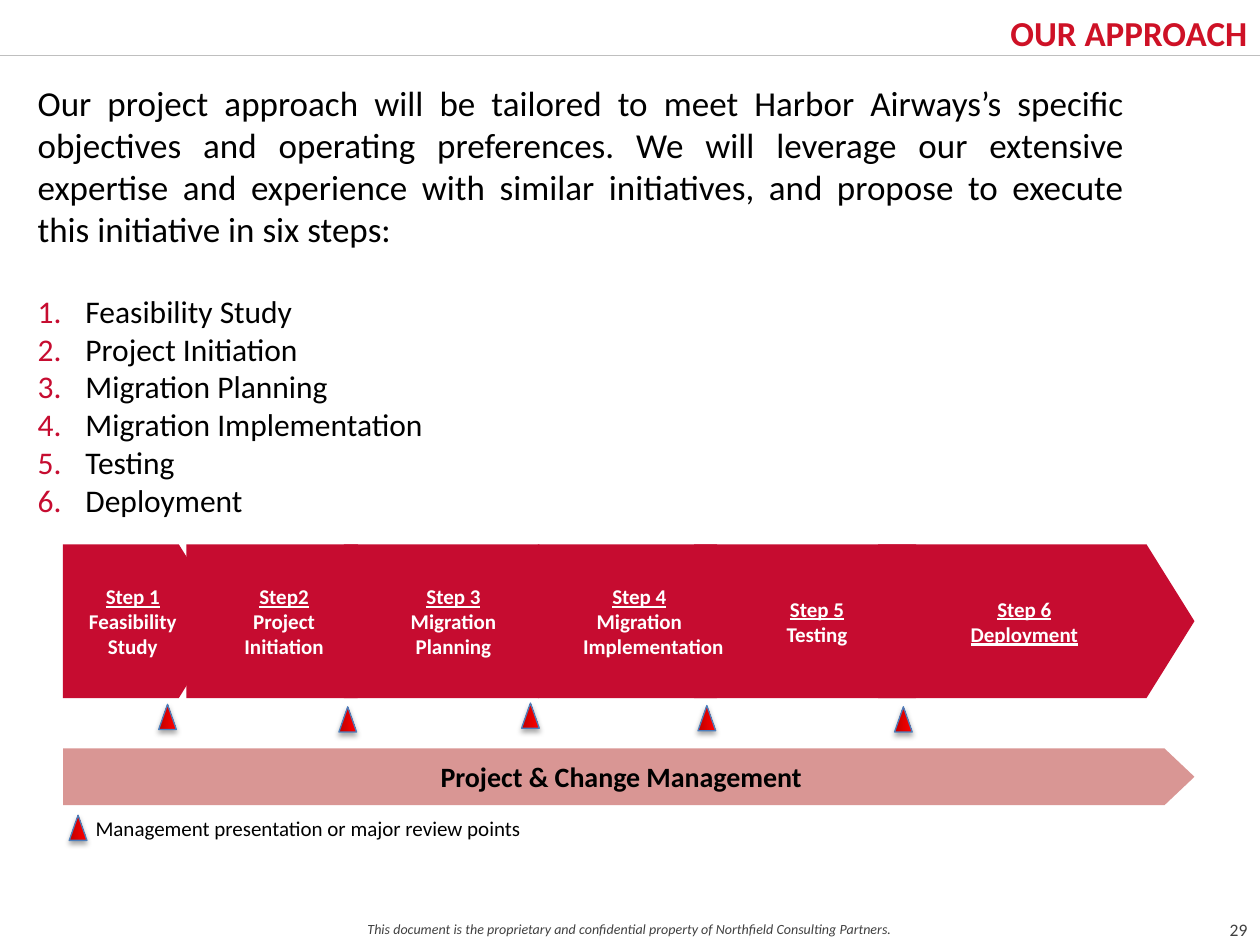
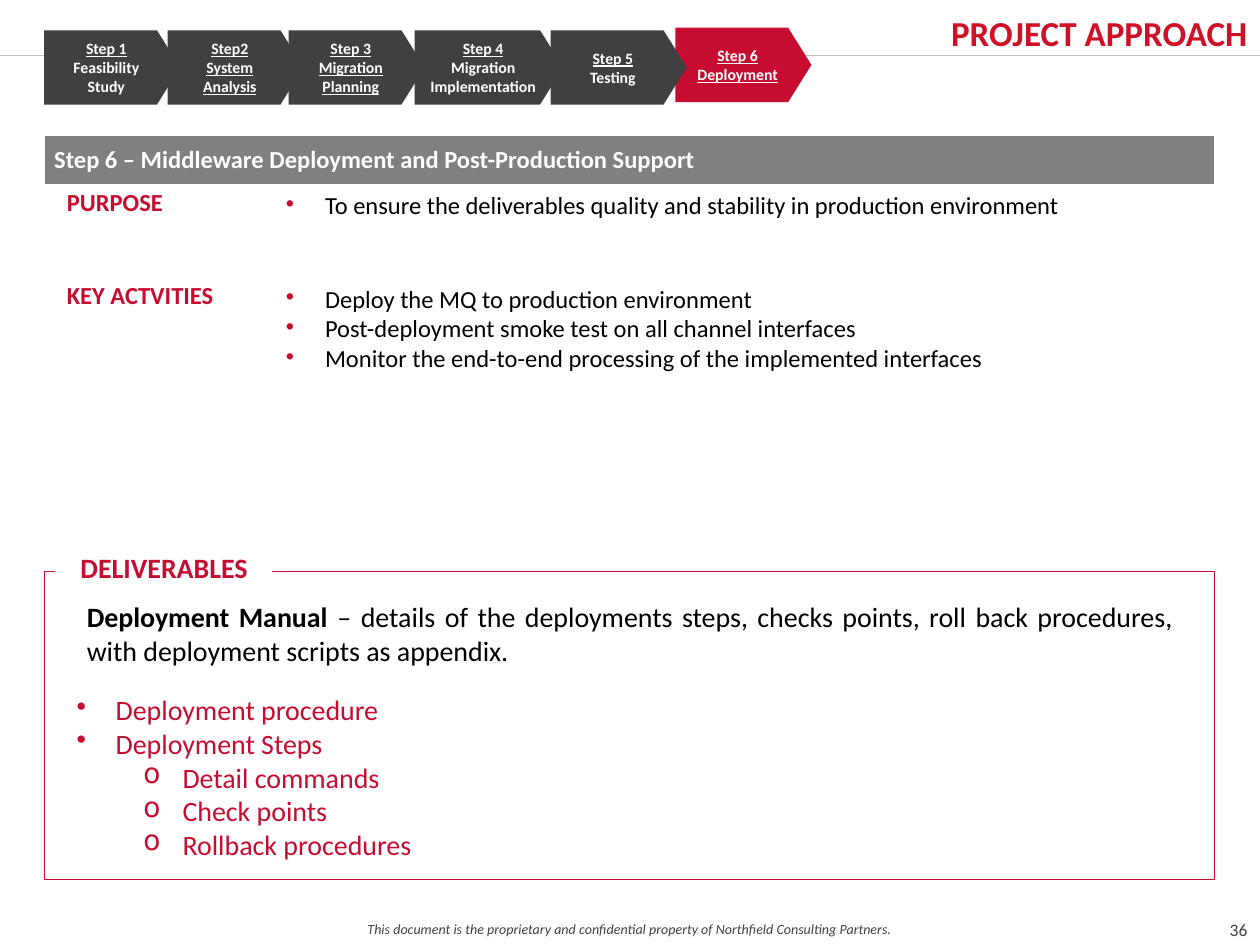
from dataclasses import dataclass

from lxml.etree import SubElement
from pptx import Presentation
from pptx.dml.color import RGBColor
from pptx.enum.shapes import MSO_CONNECTOR, MSO_SHAPE
from pptx.enum.text import MSO_ANCHOR, MSO_AUTO_SIZE, PP_ALIGN
from pptx.oxml.ns import qn
from pptx.util import Inches, Pt


@dataclass(frozen=True)
class Theme:
    font: str = "Calibri"
    red: str = "C60C30"
    title_red: str = "CE1126"
    pink: str = "D99694"
    marker_dark: str = "C00000"
    marker_light: str = "FF0000"
    marker_line: str = "4B7EBC"
    dark: str = "404040"
    gray: str = "808080"
    rule: str = "BFBFBF"
    black: str = "000000"
    white: str = "FFFFFF"
    title: int = 20
    lead: int = 20
    list_item: int = 18
    heading: int = 16
    table: int = 14
    step: int = 12
    small_step: int = 9
    page: int = 10
    footer: int = 8


T = Theme()
FOOTER = ("This document is the proprietary and confidential property of "
          "Northfield Consulting Partners.")
STEP_TOP, STEP_HEIGHT = 4.32, 1.22
NAV_HEIGHT = 0.59


def rgb(value):
    return RGBColor.from_string(value)


def set_attrs(obj, values):
    for name, value in values.items():
        setattr(obj, name, value)


def add_text(tf, text, size, color=T.black, p_format=None, **font):
    """Add a paragraph; text is a string or a list of (string, font values)."""
    p = tf.paragraphs[0] if not tf.text else tf.add_paragraph()
    set_attrs(p, p_format or {})
    runs = [(text, {})] if isinstance(text, str) else text
    for words, changes in runs:
        r = p.add_run()
        r.text = words
        set_attrs(r.font, {"name": T.font, "size": Pt(size), **font, **changes})
        r.font.color.rgb = rgb(color)
    return p


def indent(p, left, first=0):
    pPr = p._p.get_or_add_pPr()
    pPr.set("marL", str(Inches(left)))
    pPr.set("indent", str(Inches(first)))
    return pPr


def add_bullet(p, left, hang, char=None):
    """Give a red bullet character, or a number when char is None."""
    pPr = indent(p, left, -hang)
    color = SubElement(pPr, qn("a:buClr"))
    SubElement(color, qn("a:srgbClr"), val=T.red)
    if char:
        SubElement(pPr, qn("a:buChar"), char=char)
    else:
        SubElement(pPr, qn("a:buAutoNum"), type="arabicPeriod")


def add_box(slide, left, top, width, height, **frame):
    box = slide.shapes.add_textbox(*map(Inches, (left, top, width, height)))
    tf = box.text_frame
    set_attrs(tf, {"word_wrap": True, **frame})
    return tf


def add_block(slide, kind, at, fill=None, line=None, line_width=0.75):
    sp = slide.shapes.add_shape(kind, *map(Inches, at))
    sp.shadow.inherit = False
    if fill:
        sp.fill.solid()
        sp.fill.fore_color.rgb = rgb(fill)
    else:
        sp.fill.background()
    if line:
        sp.line.color.rgb = rgb(line)
        sp.line.width = Pt(line_width)
    else:
        sp.line.fill.background()
    return sp


def add_arrow(slide, at, fill, point=0.312):
    sp = add_block(slide, MSO_SHAPE.PENTAGON, at, fill)
    sp.adjustments[0] = point
    tf = sp.text_frame
    set_attrs(tf, {"word_wrap": True, "vertical_anchor": MSO_ANCHOR.MIDDLE})
    return tf


def add_step(slide, at, fill, lines, size, underline_all=False):
    tf = add_arrow(slide, at, fill)
    for i, line in enumerate(lines):
        add_text(tf, line, size, T.white, {"alignment": PP_ALIGN.CENTER},
                 bold=True, underline=underline_all or i == 0)
    return tf


def add_review_marker(slide, left, top):
    sp = add_block(slide, MSO_SHAPE.ISOSCELES_TRIANGLE, (left, top, 0.14, 0.2),
                   line=T.marker_line)
    sp.fill.gradient()
    sp.fill.gradient_angle = 0
    for stop, pos, color in zip(sp.fill.gradient_stops, (0, 1),
                                (T.marker_dark, T.marker_light)):
        stop.position = pos
        stop.color.rgb = rgb(color)
    effects = sp._element.spPr.find(qn("a:effectLst"))
    shadow = SubElement(effects, qn("a:outerShdw"), blurRad=str(Pt(3.1)),
                        dist=str(Pt(1.8)), dir="5400000", rotWithShape="0")
    color = SubElement(shadow, qn("a:srgbClr"), val=T.black)
    SubElement(color, qn("a:alpha"), val="35000")


def add_slide(prs, title, page):
    """Start a slide with the shared rule, title, footer and page number."""
    slide = prs.slides.add_slide(prs.slide_layouts[5])
    rule = slide.shapes.add_connector(MSO_CONNECTOR.STRAIGHT, 0, Inches(0.44),
                                      Inches(10), Inches(0.44))
    rule.line.color.rgb = rgb(T.rule)
    rule.line.width = Pt(0.5)
    SubElement(rule._element.spPr, qn("a:effectLst"))

    sp = slide.shapes.title
    set_attrs(sp, {"left": Inches(4.01), "top": Inches(0.02),
                   "width": Inches(5.99), "height": Inches(0.42)})
    tf = sp.text_frame
    set_attrs(tf, {"margin_left": 0, "margin_right": Inches(0.1),
                   "margin_top": Inches(0.07), "margin_bottom": Inches(0.07),
                   "vertical_anchor": MSO_ANCHOR.TOP, "word_wrap": True,
                   "auto_size": MSO_AUTO_SIZE.NONE})
    add_text(tf, title, T.title, T.title_red,
             {"alignment": PP_ALIGN.RIGHT}, bold=True)

    centered = {"alignment": PP_ALIGN.CENTER}
    add_text(add_box(slide, 0, 7.26, 10, 0.24), FOOTER, T.footer, T.dark,
             centered, italic=True)
    add_text(add_box(slide, 9.6, 7.16, 0.46, 0.43,
                     vertical_anchor=MSO_ANCHOR.MIDDLE),
             str(page), T.page, T.dark, centered)
    return slide


def add_section_label(tf, text, size, align=None):
    p = add_text(tf, text, size, T.red,
                 {"alignment": align, "line_spacing": Pt(15)}, bold=True)
    indent(p, 0.1)


def add_step_table(slide, heading, rows):
    frame = slide.shapes.add_table(len(rows) + 1, 2, *map(
        Inches, (0.35, 1.07, 9.29, 2.47)))
    table = frame.table
    table.horz_banding = False
    for col, width in zip(table.columns, (1.84, 7.45)):
        col.width = Inches(width)
    for row, height in zip(table.rows, (0.4, 0.74, 1.33)):
        row.height = Inches(height)

    head = table.cell(0, 0)
    head.merge(table.cell(0, 1))
    head.fill.solid()
    head.fill.fore_color.rgb = rgb(T.gray)
    set_attrs(head, {"vertical_anchor": MSO_ANCHOR.MIDDLE,
                     "margin_left": Inches(0.08), "margin_right": Inches(0.08)})
    add_text(head.text_frame, heading, T.table, T.white, bold=True)

    for i, (label, items) in enumerate(rows, 1):
        label_cell, item_cell = table.cell(i, 0), table.cell(i, 1)
        for cell in (label_cell, item_cell):
            set_attrs(cell, {"margin_left": Inches(0.08),
                             "margin_right": Inches(0.08)})
        label_cell.fill.background()
        item_cell.fill.solid()
        item_cell.fill.fore_color.rgb = rgb(T.white)
        add_section_label(label_cell.text_frame, label, T.table,
                          PP_ALIGN.JUSTIFY)
        for item in items:
            p = add_text(item_cell.text_frame, item, T.table, bold=False)
            add_bullet(p, 0.31, 0.31, "•")


def build_our_approach(prs):
    slide = add_slide(prs, "OUR APPROACH", 29)
    tf = add_box(slide, 0.2, 0.6, 8.82, 3.6)
    justified = {"alignment": PP_ALIGN.JUSTIFY}
    add_text(tf, "Our project approach will be tailored to meet Harbor Airways’s "
             "specific objectives and operating preferences. We will leverage our "
             "extensive expertise and experience with similar initiatives, and "
             "propose to execute this initiative in six steps:", T.lead,
             p_format=justified)
    names = ("Feasibility Study", "Project Initiation", "Migration Planning",
             "Migration Implementation", "Testing", "Deployment")
    for i, name in enumerate(names):
        gap = Pt(0 if i else 24)
        p = add_text(tf, name, T.list_item,
                     p_format={**justified, "space_before": gap})
        add_bullet(p, 0.38, 0.38)

    steps = (
        (0.5, 1.3, ("Step 1", "Feasibility", "Study")),
        (1.48, 1.74, ("Step2", "Project", "Initiation")),
        (2.73, 1.93, ("Step 3", "Migration", "Planning")),
        (4.27, 1.8, ("Step 4", "Migration", "Implementation")),
        (5.51, 2.14, ("Step 5", "Testing")),
        (6.97, 2.51, ("Step 6", "Deployment")),
    )
    for left, width, lines in reversed(steps):
        tf = add_step(slide, (left, STEP_TOP, width, STEP_HEIGHT), T.red, lines,
                      T.step, underline_all=lines[0] == "Step 6")
        if lines[-1] == "Implementation":
            indent(tf.paragraphs[-1], 0.22)

    tf = add_arrow(slide, (0.5, 5.94, 8.98, 0.45), T.pink, 0.528)
    add_text(tf, "Project & Change Management", T.heading,
             p_format={"alignment": PP_ALIGN.CENTER}, bold=True)

    add_text(add_box(slide, 0.66, 6.42, 4.08, 0.3),
             "Management presentation or major review points", T.step)
    for left, top in ((1.26, 5.59), (2.69, 5.61), (4.14, 5.58), (5.54, 5.6),
                      (7.1, 5.61), (0.55, 6.47)):
        add_review_marker(slide, left, top)


def build_project_approach(prs):
    slide = add_slide(prs, "PROJECT APPROACH", 36)
    steps = (
        (0.35, 0.24, 1.08, ("Step 1", "Feasibility Study"), False),
        (1.33, 0.24, 1.08, ("Step2", "System Analysis"), True),
        (2.29, 0.24, 1.08, ("Step 3", "Migration Planning"), True),
        (3.29, 0.24, 1.18, ("Step 4", "Migration Implementation"), False),
        (4.37, 0.24, 1.08, ("Step 5", "Testing"), False),
        (5.36, 0.22, 1.08, ("Step 6", "Deployment"), True),
    )
    for left, top, width, lines, underline_all in reversed(steps):
        fill = T.red if lines[0] == "Step 6" else T.dark
        add_step(slide, (left, top, width, NAV_HEIGHT), fill, lines,
                 T.small_step, underline_all)

    add_step_table(
        slide, "Step 6 – Middleware Deployment and Post-Production Support",
        (("PURPOSE", ("To ensure the deliverables quality and stability in "
                      "production environment",)),
         ("KEY ACTVITIES", (
             "Deploy the MQ to production environment",
             "Post-deployment smoke test on all channel interfaces",
             "Monitor the end-to-end processing of the implemented interfaces"))))

    add_block(slide, MSO_SHAPE.RECTANGLE, (0.35, 4.53, 9.29, 2.45),
              line=T.red, line_width=0.25)
    label = add_block(slide, MSO_SHAPE.RECTANGLE, (0.44, 4.38, 1.72, 0.31), T.white)
    set_attrs(label.text_frame, {"vertical_anchor": MSO_ANCHOR.TOP,
                                 "word_wrap": True})
    add_section_label(label.text_frame, "DELIVERABLES", T.heading, PP_ALIGN.LEFT)

    add_text(add_box(slide, 0.59, 4.71, 8.82, 0.64), [
        ("Deployment Manual ", {"bold": True}),
        ("– details of the deployments steps, checks points, roll back "
         "procedures, with deployment scripts as appendix.", {})],
        T.heading, p_format={"alignment": PP_ALIGN.JUSTIFY})

    tf = add_box(slide, 0.51, 5.45, 4.72, 1.45)
    for level, item in ((0, "Deployment procedure"), (0, "Deployment Steps"),
                        (1, "Detail commands"), (1, "Check points"),
                        (1, "Rollback procedures")):
        p = add_text(tf, item, T.heading, T.red, {"level": level})
        add_bullet(p, (0.31, 0.84)[level], 0.31, "•o"[level])


def main():
    prs = Presentation()
    prs.slide_width, prs.slide_height = Inches(10), Inches(7.5)
    build_our_approach(prs)
    build_project_approach(prs)
    prs.save("out.pptx")


if __name__ == "__main__":
    main()
